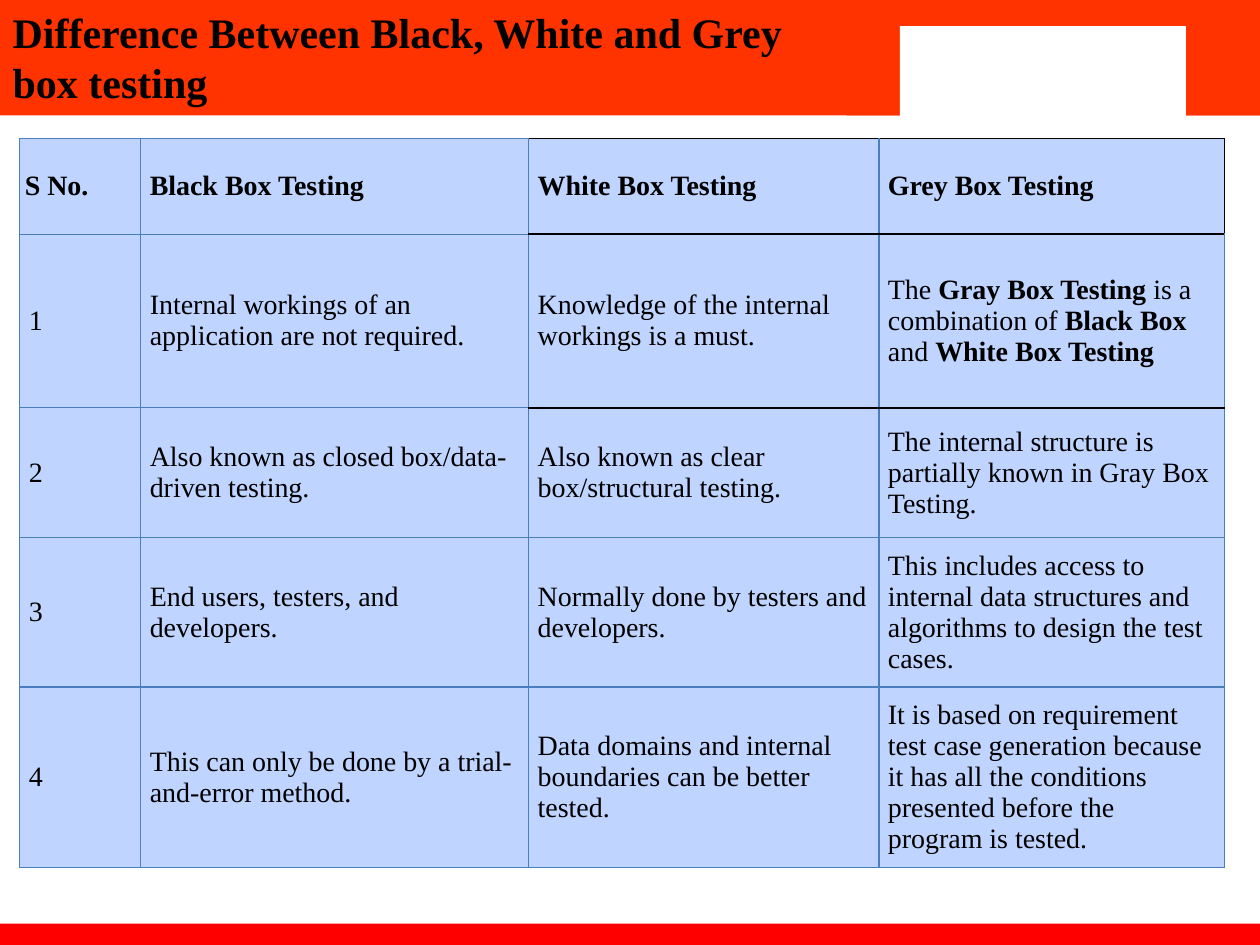
from lxml.etree import SubElement
from pptx import Presentation
from pptx.dml.color import RGBColor
from pptx.enum.shapes import MSO_SHAPE
from pptx.enum.text import MSO_ANCHOR, MSO_AUTO_SIZE, PP_ALIGN
from pptx.oxml.ns import qn
from pptx.util import Cm, Pt

ORANGE = RGBColor(0xFF, 0x33, 0x00)
RED = RGBColor(0xFF, 0x00, 0x00)
WHITE = RGBColor(0xFF, 0xFF, 0xFF)
BLACK = RGBColor(0x00, 0x00, 0x00)
PALE = RGBColor(0xBF, 0xD4, 0xFF)
BLUE = RGBColor(0x4B, 0x7E, 0xBC)
FACE = "Times New Roman"


def style(run, size, bold):
    run.font.name = FACE
    run.font.size = Pt(size)
    run.font.bold = bold
    run.font.color.rgb = BLACK


def edge(cell, side, color, width):
    line = SubElement(cell._tc.get_or_add_tcPr(), qn(f"a:ln{side}"), w=str(Pt(width)))
    fill = SubElement(line, qn("a:solidFill"))
    SubElement(fill, qn("a:srgbClr"), val=str(color))


deck = Presentation()
deck.slide_width, deck.slide_height = Cm(25.4), Cm(19.05)
slide = deck.slides.add_slide(deck.slide_layouts[5])
shapes = slide.shapes

bands = [
    (0, 0, 25.4, 2.33, ORANGE),
    (0, 18.62, 25.4, 0.56, RED),
    (17.07, 0, 8.33, 2.33, ORANGE),
    (18.14, 0.53, 5.77, 1.9, WHITE),
]
for left, top, width, height, color in bands:
    band = shapes.add_shape(MSO_SHAPE.RECTANGLE, Cm(left), Cm(top), Cm(width), Cm(height))
    band.shadow.inherit = False
    band.fill.solid()
    band.fill.fore_color.rgb = color
    band.line.fill.background()

rows = [
    ["S No.", "Black Box Testing", "White Box Testing", "Grey Box Testing"],
    [
        "1",
        "Internal workings of an application are not required.",
        "Knowledge of the internal workings is a must.",
        ["The ", "Gray Box Testing ", "is a combination of ", "Black Box ", "and ", "White Box Testing"],
    ],
    [
        "2",
        "Also known as closed box/data-driven testing.",
        "Also known as clear box/structural testing.",
        "The internal structure is partially known in Gray Box Testing.",
    ],
    [
        "3",
        "End users, testers, and developers.",
        "Normally done by testers and developers.",
        "This includes access to internal data structures and algorithms to design the test cases.",
    ],
    [
        "4",
        "This can only be done by a trial-and-error method.",
        "Data domains and internal boundaries can be better tested.",
        "It is based on requirement test case generation because it has all the "
        "conditions presented before the program is tested.",
    ],
]
widths = [2.44, 7.82, 7.06, 6.96]
heights = [1.93, 3.5, 2.62, 2.62, 3.5]

frame = shapes.add_table(len(rows), len(widths), Cm(0.4), Cm(2.79), Cm(sum(widths)), Cm(sum(heights)))
table = frame.table
table.horz_banding = False
for column, width in zip(table.columns, widths):
    column.width = Cm(width)
for row, height in zip(table.rows, heights):
    row.height = Cm(height)

for i, row in enumerate(rows):
    for j, text in enumerate(row):
        cell = table.cell(i, j)
        cell.vertical_anchor = MSO_ANCHOR.MIDDLE
        cell.margin_left = Cm(0.1 if i == j == 0 else 0.18)
        cell.margin_right = Cm(0.1 if i == j == 0 else 0.18)
        cell.margin_top = cell.margin_bottom = Cm(0.18 if i == 0 else 0.25)
        dark = set()
        if j > 1:
            dark = {0: {"T", "B"}, 1: {"T", "B"}, 2: {"T"}}.get(i, set())
        if i == 0 and j == 3:
            dark = dark | {"R"}
        for side in "LRTB":
            if side in dark:
                edge(cell, side, BLACK, 1)
            else:
                edge(cell, side, BLUE, 0.75)
        cell.fill.solid()
        cell.fill.fore_color.rgb = PALE
        parts = [text] if isinstance(text, str) else text
        para = cell.text_frame.paragraphs[0]
        for n, part in enumerate(parts):
            run = para.add_run()
            run.text = part
            style(run, 16, i == 0 or n % 2 == 1)

title = shapes.title
title.left, title.top, title.width, title.height = Cm(0), Cm(0), Cm(16.43), Cm(2.31)
body = title.text_frame
body.text = "Difference Between Black, White and Grey box testing"
body.word_wrap = True
body.auto_size = MSO_AUTO_SIZE.NONE
body.vertical_anchor = MSO_ANCHOR.TOP
body.paragraphs[0].alignment = PP_ALIGN.LEFT
style(body.paragraphs[0].runs[0], 24, True)
shapes._spTree.append(title._element)

deck.save("out.pptx")
